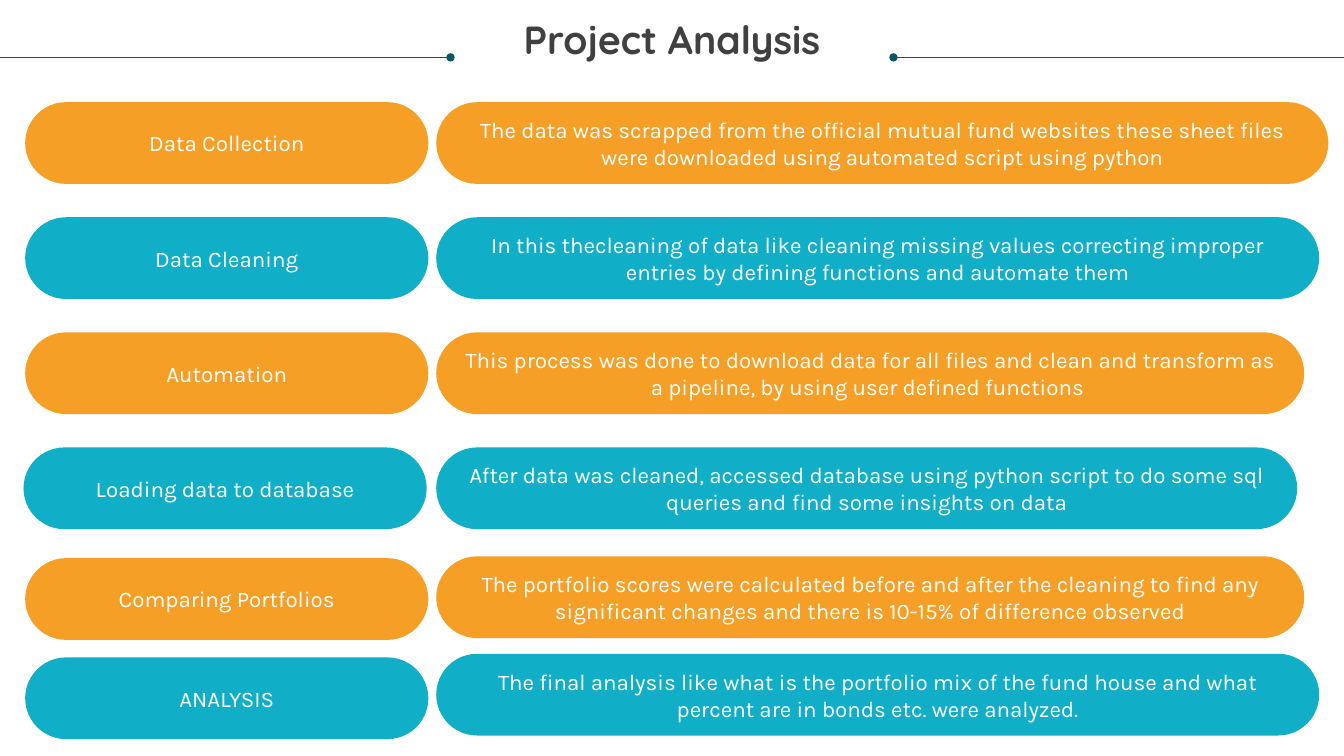
from lxml.etree import SubElement
from pptx import Presentation
from pptx.dml.color import RGBColor
from pptx.enum.shapes import MSO_CONNECTOR, MSO_SHAPE
from pptx.enum.text import MSO_ANCHOR, PP_ALIGN
from pptx.oxml.ns import qn
from pptx.util import Pt

SLIDE_WIDTH, SLIDE_HEIGHT = 960, 540
ORANGE, TEAL = "F59F26", "11AEC7"
PILL_HEIGHT = 58.4
STEP_WIDTH = 288
DETAIL_OFFSET = 293.6
LEFT_MARGIN = 18
ROW_TOP, ROW_PITCH = 73, 82.2

# Step, its description, and the width of the description pill
STEPS = [
    ("Data Collection",
     "The data was scrapped from the official mutual fund websites these sheet "
     "files were downloaded using automated script using python", 637.2),
    ("Data Cleaning",
     "In this thecleaning of data like cleaning missing values correcting improper "
     "entries by defining functions and automate them", 630.7),
    ("Automation",
     "This process was done to download data for all files and clean and transform "
     "as a pipeline, by using user defined functions ", 620),
    ("Loading data to database",
     "After data was cleaned, accessed database using python script to do some sql "
     "queries and find some insights on data", 615),
    ("Comparing Portfolios",
     "The portfolio scores were calculated before and after the cleaning to find any "
     "significant changes and there is 10-15% of difference observed", 620),
    ("ANALYSIS",
     "The final analysis like what is the portfolio mix of the fund house and what "
     "percent are in bonds etc. were analyzed.", 630.7),
]
# Tops of the step and description pills; the last two rows sit closer together
ROW_TOPS = [(ROW_TOP + ROW_PITCH * row,) * 2 for row in range(4)]
ROW_TOPS += [(398.7, 397.4), (469.6, 467)]
STEP_SHIFTS = {"Loading data to database": -1.2}


def color(hex_string):
    """Return the colour for a hex string."""
    return RGBColor.from_string(hex_string)


def style_paragraph(paragraph, text, font_name, size, hex_string, bold=False):
    """Fill a paragraph with centred text in one font."""
    paragraph.text = text
    paragraph.alignment = PP_ALIGN.CENTER
    font = paragraph.font
    font.name, font.size, font.bold = font_name, Pt(size), bold
    font.color.rgb = color(hex_string)


def add_dotted_rule(slide, edge, dot, top):
    """Draw a rule from a slide edge to a round dot."""
    rule = slide.shapes.add_connector(
        MSO_CONNECTOR.STRAIGHT, Pt(edge), Pt(top), Pt(dot), Pt(top))
    rule.line.color.rgb = color("085764")
    rule.line.width = Pt(0.5)
    properties = rule._element.spPr
    SubElement(properties.find(qn("a:ln")), qn("a:tailEnd"), type="oval")
    SubElement(properties, qn("a:effectLst"))


def add_header(slide, left, top, width, height):
    """Place the title in its box, with a rule on either side."""
    add_dotted_rule(slide, 0, 321.8, top + 26)
    add_dotted_rule(slide, SLIDE_WIDTH, 638.2, top + 26)
    title = slide.shapes.add_textbox(Pt(left), Pt(top), Pt(width), Pt(height))
    frame = title.text_frame
    frame.word_wrap = True
    frame.margin_left = frame.margin_right = 0
    frame.margin_top = frame.margin_bottom = 0
    paragraph = frame.paragraphs[0]
    style_paragraph(paragraph, "Project Analysis", "Quicksand", 28, "404040", True)
    paragraph.line_spacing = 0.9


def add_pill(slide, left, top, width, fill, text):
    """Add a fully rounded bar with centred white text."""
    shape = slide.shapes.add_shape(
        MSO_SHAPE.ROUNDED_RECTANGLE, Pt(left), Pt(top), Pt(width), Pt(PILL_HEIGHT))
    shape.adjustments[0] = 0.5
    shape.shadow.inherit = False
    shape.fill.solid()
    shape.fill.fore_color.rgb = color(fill)
    shape.line.fill.background()
    frame = shape.text_frame
    frame.word_wrap = True
    frame.vertical_anchor = MSO_ANCHOR.MIDDLE
    style_paragraph(frame.paragraphs[0], text, "Karla", 16, "FFFFFF")


def add_steps(slide, left):
    """Lay out the step rows in alternating colours."""
    for row, ((step, detail, width), tops) in enumerate(zip(STEPS, ROW_TOPS)):
        fill = (ORANGE, TEAL)[row % 2]
        step_left = left + STEP_SHIFTS.get(step, 0)
        add_pill(slide, step_left, tops[0], STEP_WIDTH, fill, step)
        add_pill(slide, left + DETAIL_OFFSET, tops[1], width, fill, detail)


def build_presentation():
    """Build the one-slide presentation and save it."""
    presentation = Presentation()
    presentation.slide_width = Pt(SLIDE_WIDTH)
    presentation.slide_height = Pt(SLIDE_HEIGHT)
    slide = presentation.slides.add_slide(presentation.slide_layouts[6])
    add_header(slide, LEFT_MARGIN, 15, SLIDE_WIDTH - 2 * LEFT_MARGIN, 61)
    add_steps(slide, LEFT_MARGIN)
    presentation.save("out.pptx")


build_presentation()
